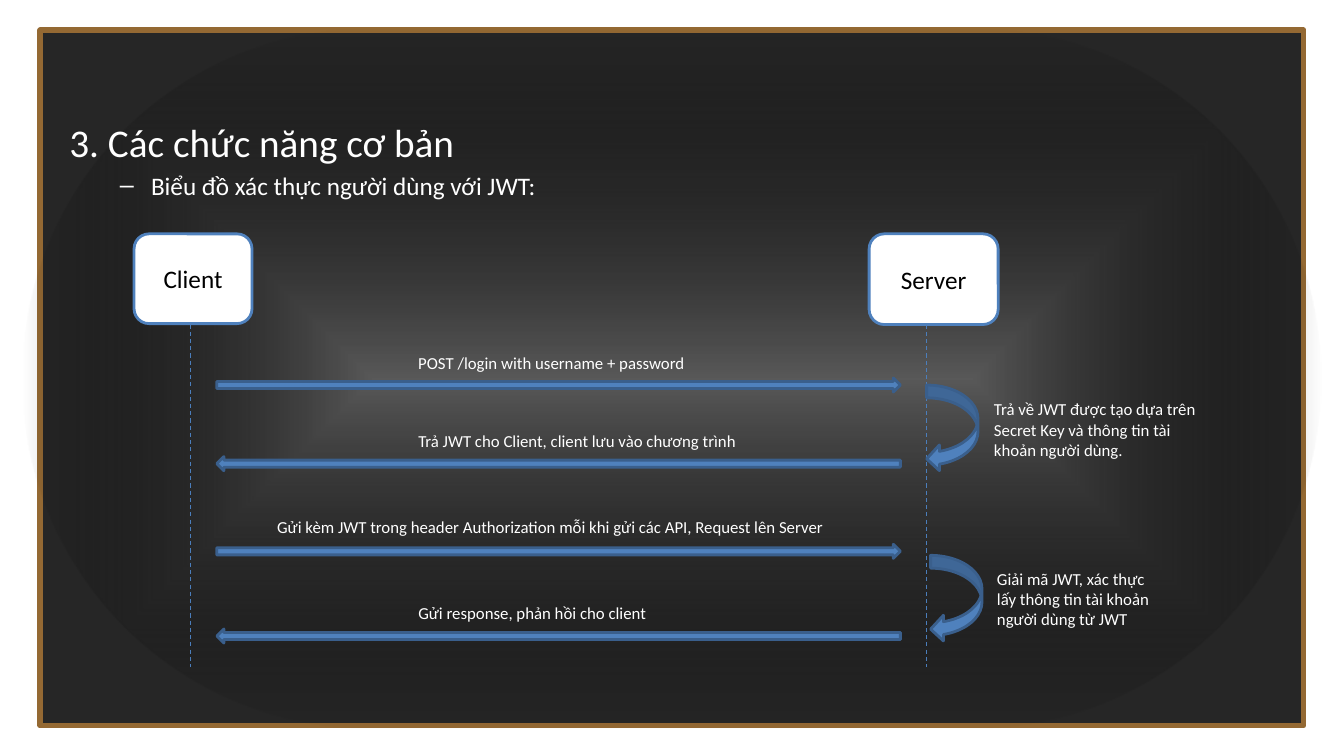
from dataclasses import dataclass

from lxml.etree import SubElement
from pptx import Presentation
from pptx.dml.color import RGBColor
from pptx.enum.dml import MSO_LINE
from pptx.enum.shapes import MSO_CONNECTOR, MSO_SHAPE
from pptx.enum.text import MSO_ANCHOR, MSO_AUTO_SIZE, PP_ALIGN
from pptx.oxml.ns import qn
from pptx.shapes.autoshape import Shape
from pptx.slide import Slide
from pptx.text.text import _Paragraph as Paragraph
from pptx.util import Inches, Pt

FONT = "Calibri"
WHITE, BLACK = "FFFFFF", "000000"
BLUE, DARK_BLUE, LIFELINE_BLUE = "4F81BD", "3A5F8C", "4B7EBC"
LIFELINE_TOP, LIFELINE_BOTTOM = 3.22, 6.62


@dataclass
class Participant:
    name: str
    left: float
    width: float
    height: float
    lifeline: float


@dataclass
class Message:
    text: str
    text_left: float
    text_top: float
    text_width: float
    arrow_top: float
    to_client: bool = False


@dataclass
class ServerStep:
    text: str
    text_left: float
    text_top: float
    text_width: float
    arrow_left: float
    arrow_top: float


PARTICIPANTS = [
    Participant("Client", 1.33, 1.17, 0.89, 1.89),
    Participant("Server", 8.62, 1.28, 0.9, 9.19),
]
MESSAGES = [
    Message("POST /login with username + password", 4.05, 3.45, 2.87, 3.75),
    Message("Trả JWT cho Client, client lưu vào chương trình", 4.05, 4.22, 3.39, 4.53, True),
    Message("Gửi kèm JWT trong header Authorization mỗi khi gửi các API, Request lên Server",
            2.65, 5.08, 5.68, 5.4),
    Message("Gửi response, phản hồi cho client", 4.05, 5.93, 2.49, 6.24, True),
]
SERVER_STEPS = [
    ServerStep("Trả về JWT được tạo dựa trên Secret Key và thông tin tài khoản người dùng.",
               9.76, 3.91, 2.25, 9.19, 3.82),
    ServerStep("Giải mã JWT, xác thực lấy thông tin tài khoản người dùng từ JWT",
               9.79, 5.59, 1.77, 9.23, 5.51),
]


def color(value: str) -> RGBColor:
    return RGBColor.from_string(value)


def add_run(paragraph: Paragraph, text: str, size: float, font_color: str = WHITE) -> None:
    run = paragraph.add_run()
    run.text = text
    run.font.name = FONT
    run.font.size = Pt(size)
    run.font.color.rgb = color(font_color)


def add_box(slide: Slide, kind: MSO_SHAPE, left: float, top: float, width: float,
            height: float, fill: str, line: str, line_width: float = 2) -> Shape:
    shape = slide.shapes.add_shape(kind, Inches(left), Inches(top), Inches(width), Inches(height))
    shape.shadow.inherit = False
    shape.fill.solid()
    shape.fill.fore_color.rgb = color(fill)
    shape.line.color.rgb = color(line)
    shape.line.width = Pt(line_width)
    return shape


def add_label(slide: Slide, text: str, left: float, top: float, width: float,
              height: float, wrap: bool) -> None:
    label = slide.shapes.add_textbox(Inches(left), Inches(top), Inches(width), Inches(height))
    label.text_frame.word_wrap = wrap
    label.text_frame.auto_size = MSO_AUTO_SIZE.SHAPE_TO_FIT_TEXT
    add_run(label.text_frame.paragraphs[0], text, 12)


def add_background(slide: Slide) -> None:
    add_box(slide, MSO_SHAPE.RECTANGLE, 0.4, 0.3, 12.53, 6.9, "262626", "946933", 4)
    glow = add_box(slide, MSO_SHAPE.ROUNDED_RECTANGLE, 0.22, 0.28, 12.89, 6.95, BLACK, BLACK)
    glow.adjustments[0] = 0.5
    glow.line.fill.background()

    # Gradient from a grey centre to a transparent edge
    glow.fill.gradient()
    gradient = glow.element.spPr.find(qn("a:gradFill"))
    for child in list(gradient):
        gradient.remove(child)
    stops = SubElement(gradient, qn("a:gsLst"))
    for position, value, alpha in [("0", "595959", "100000"), ("100000", BLACK, "0")]:
        stop = SubElement(stops, qn("a:gs"), pos=position)
        stop_color = SubElement(stop, qn("a:srgbClr"), val=value)
        SubElement(stop_color, qn("a:alpha"), val=alpha)
    shading = SubElement(gradient, qn("a:path"), {"path": "shape"})
    SubElement(shading, qn("a:fillToRect"), l="50000", t="50000", r="50000", b="50000")


def add_heading(slide: Slide) -> None:
    box = slide.shapes.add_textbox(Inches(0.59), Inches(1.12), Inches(12), Inches(6.07))
    frame = box.text_frame
    frame.word_wrap = True
    title = frame.paragraphs[0]
    title.space_before = Pt(5.6)
    add_run(title, "3. Các chức năng cơ bản", 28)

    subtitle = frame.add_paragraph()
    subtitle.level = 1
    subtitle.space_before = Pt(3.6)
    add_run(subtitle, "Biểu đồ xác thực người dùng với JWT:", 18)
    properties = subtitle._p.get_or_add_pPr()
    properties.set("marL", str(Inches(0.81)))
    properties.set("indent", str(Inches(-0.31)))
    SubElement(properties, qn("a:buFont"), typeface="Arial")
    SubElement(properties, qn("a:buChar"), char="–")


def add_participant(slide: Slide, participant: Participant) -> None:
    box = add_box(slide, MSO_SHAPE.ROUNDED_RECTANGLE, participant.left, 2.32,
                  participant.width, participant.height, WHITE, BLUE)
    box.text_frame.vertical_anchor = MSO_ANCHOR.MIDDLE
    paragraph = box.text_frame.paragraphs[0]
    paragraph.alignment = PP_ALIGN.CENTER
    add_run(paragraph, participant.name, 18, BLACK)

    lifeline = slide.shapes.add_connector(
        MSO_CONNECTOR.STRAIGHT, Inches(participant.lifeline), Inches(LIFELINE_TOP),
        Inches(participant.lifeline), Inches(LIFELINE_BOTTOM))
    lifeline.line.color.rgb = color(LIFELINE_BLUE)
    lifeline.line.width = Pt(0.75)
    lifeline.line.dash_style = MSO_LINE.DASH
    SubElement(lifeline.element.spPr, qn("a:effectLst"))


def add_message(slide: Slide, message: Message) -> None:
    arrow = add_box(slide, MSO_SHAPE.RIGHT_ARROW, 2.15, message.arrow_top, 6.78, 0.14,
                    BLUE, DARK_BLUE)
    if message.to_client:
        arrow.rotation = 180
    add_label(slide, message.text, message.text_left, message.text_top,
              message.text_width, 0.3, wrap=False)


def add_server_step(slide: Slide, step: ServerStep) -> None:
    add_box(slide, MSO_SHAPE.CURVED_LEFT_ARROW, step.arrow_left, step.arrow_top, 0.51, 0.86,
            BLUE, DARK_BLUE)
    add_label(slide, step.text, step.text_left, step.text_top, step.text_width, 0.71, wrap=True)


def main() -> None:
    presentation = Presentation()
    presentation.slide_width = Inches(13.33)
    presentation.slide_height = Inches(7.5)
    slide = presentation.slides.add_slide(presentation.slide_layouts[6])

    add_background(slide)
    add_heading(slide)

    # Sequence diagram
    for participant in PARTICIPANTS:
        add_participant(slide, participant)
    for message in MESSAGES:
        add_message(slide, message)
    for step in SERVER_STEPS:
        add_server_step(slide, step)

    presentation.save("out.pptx")


if __name__ == "__main__":
    main()
